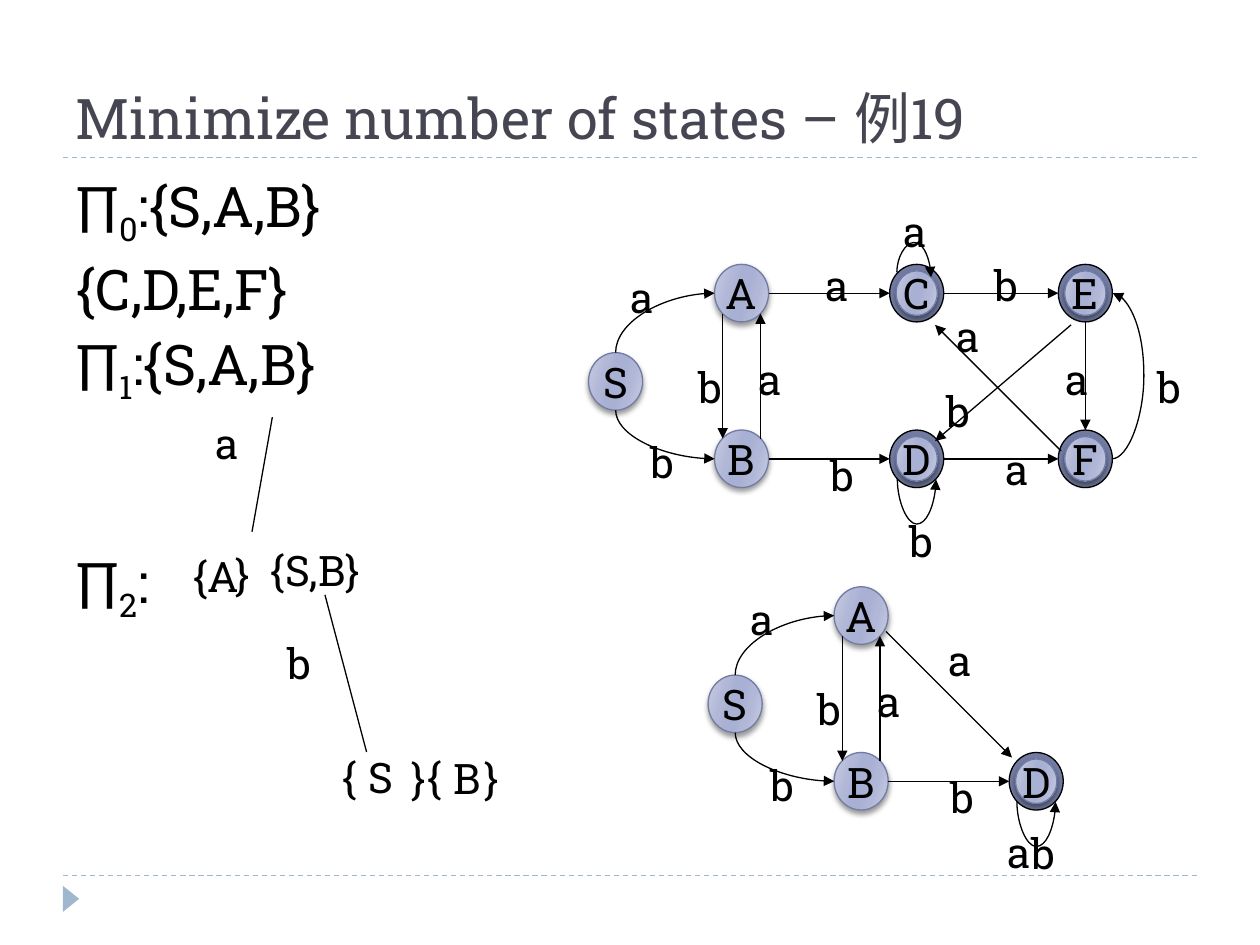
import lxml.etree
import pptx
import pptx.dml.color
import pptx.enum.dml
import pptx.enum.shapes
import pptx.enum.text
import pptx.oxml
import pptx.oxml.ns
import pptx.util

Cm, Pt = pptx.util.Cm, pptx.util.Pt
SHAPE = pptx.enum.shapes.MSO_SHAPE
LINK = pptx.enum.shapes.MSO_CONNECTOR
ALIGN = pptx.enum.text.PP_ALIGN
ANCHOR = pptx.enum.text.MSO_ANCHOR
qn = pptx.oxml.ns.qn

COLORS = {"ink": "000000", "title": "464653", "rule": "9FB8CD", "state": "727CA3"}
STATE_STOPS = [(0, "C9CDE2"), (30, "B1B7D7"), (45, "A8B0D3"),
               (55, "A8B0D3"), (73, "B1B7D7"), (100, "C9CDE2")]
NODE_W, NODE_H = 1.09, 1.16
RX, RY = NODE_W / 2, NODE_H / 2
RING = 0.13


def rgb(name):
    return pptx.dml.color.RGBColor.from_string(COLORS[name])


def sub(parent, tag, **attrs):
    return lxml.etree.SubElement(parent, qn(tag), {k: str(v) for k, v in attrs.items()})


class Deck:
    """Style and current slide; every length is in centimetres."""
    font = "Roboto Slab"
    small, large = 24, 32
    line_width = 0.75

    def __init__(self, width, height):
        self.prs = pptx.Presentation()
        self.prs.slide_width, self.prs.slide_height = Cm(width), Cm(height)
        self.s = self.prs.slides.add_slide(self.prs.slide_layouts[5])

    def run(self, p, text, size, color="ink", baseline=0):
        r = p.add_run()
        r.text = text
        r.font.name, r.font.size = self.font, Pt(size)
        r.font.color.rgb = rgb(color)
        if baseline:
            r.font._element.set("baseline", str(baseline * 1000))

    def title(self, text, x, y, w, h):
        sp = self.s.shapes.title
        sp.left, sp.top, sp.width, sp.height = Cm(x), Cm(y), Cm(w), Cm(h)
        tf = sp.text_frame
        tf.vertical_anchor = ANCHOR.BOTTOM
        p = tf.paragraphs[0]
        p.alignment = ALIGN.LEFT
        self.run(p, text, self.large, "title")

    def partitions(self, rows, x, y, w, h):
        """Rows of (index or None, set text, space before in points)."""
        tf = self.s.shapes.add_textbox(Cm(x), Cm(y), Cm(w), Cm(h)).text_frame
        tf.word_wrap = True
        for i, (index, text, before) in enumerate(rows):
            p = tf.add_paragraph() if i else tf.paragraphs[0]
            p.space_before = Pt(before)
            if index:
                self.run(p, "∏", self.large)
                self.run(p, index, self.large, baseline=-25)
            self.run(p, text, self.large)

    def centred(self, tf, text):
        tf.word_wrap = False
        tf.vertical_anchor = ANCHOR.MIDDLE
        p = tf.paragraphs[0]
        p.alignment = ALIGN.CENTER
        self.run(p, text, self.small)

    def label(self, text, cx, cy, w=1.02, h=1.3):
        sp = self.s.shapes.add_textbox(Cm(cx - w / 2), Cm(cy - h / 2), Cm(w), Cm(h))
        self.centred(sp.text_frame, text)

    def shape(self, kind, cx, cy, w, h, fill, line=None):
        sp = self.s.shapes.add_shape(kind, Cm(cx - w / 2), Cm(cy - h / 2), Cm(w), Cm(h))
        sp.shadow.inherit = False
        sp.fill.solid()
        sp.fill.fore_color.rgb = rgb(fill)
        if line:
            sp.line.color.rgb = rgb(line)
            sp.line.width = Pt(self.line_width)
        else:
            sp.line.fill.background()
        return sp

    def state(self, name, cx, cy, final):
        w, h = NODE_W, NODE_H
        if final:
            self.shape(SHAPE.OVAL, cx, cy, w, h, "state", "ink")
            w, h = w - 2 * RING, h - 2 * RING
        sp = self.shape(SHAPE.OVAL, cx, cy, w, h, "state", "state")
        sp.fill.gradient()
        sp.fill.gradient_angle = 344
        spPr = sp._element.spPr
        stops = spPr.find(".//" + qn("a:gsLst"))
        for gs in list(stops):
            stops.remove(gs)
        for pos, color in STATE_STOPS:
            sub(sub(stops, "a:gs", pos=pos * 1000), "a:srgbClr", val=color)
        shadow = sub(spPr.find(qn("a:effectLst")), "a:outerShdw", blurRad=Pt(3),
                     dist=Pt(2), dir=90 * 60000, rotWithShape=0)
        sub(sub(shadow, "a:srgbClr", val=COLORS["ink"]), "a:alpha", val=40000)
        self.centred(sp.text_frame, name)

    def line(self, start, end, arrow=False, color="ink", dash=False, kind=LINK.STRAIGHT):
        c = self.s.shapes.add_connector(kind, *(Cm(v) for v in (*start, *end)))
        c.line.color.rgb = rgb(color)
        c.line.width = Pt(self.line_width)
        if dash:
            c.line.dash_style = pptx.enum.dml.MSO_LINE.DASH
        if arrow:
            sub(c.line._get_or_add_ln(), "a:tailEnd", type="triangle")
        sub(c._element.spPr, "a:effectLst")
        return c

    def curve(self, start, end, rot, flip=None, bulge=None):
        """Curved arrow: a quarter bend, or a loop that swings out by bulge."""
        c = self.line(start, end, arrow=True, kind=LINK.CURVE)
        (x1, y1), (x2, y2) = start, end
        w, h = abs(x2 - x1), abs(y2 - y1)
        if rot in (90, 270):
            w, h = h, w
        w = max(w, 0.01)
        c.left, c.top = Cm((x1 + x2 - w) / 2), Cm((y1 + y2 - h) / 2)
        c.width, c.height = Cm(w), Cm(h)
        xfrm = c._element.spPr.find(qn("a:xfrm"))
        for name in ("flipH", "flipV"):
            xfrm.set(name, "1" if name == flip else "0")
        xfrm.set("rot", str(rot * 60000))
        geom = c._element.spPr.find(qn("a:prstGeom"))
        if bulge is None:
            geom.set("prst", "curvedConnector2")
        else:
            guides = geom.find(qn("a:avLst"))
            if guides is None:
                guides = sub(geom, "a:avLst")
            sub(guides, "a:gd", name="adj1", fmla=f"val {round(bulge / w * 100000)}")


NODES = {"S": (12.41, 7.69), "A": (14.95, 5.91), "B": (14.95, 9.25), "C": (18.48, 5.91),
         "D": (18.48, 9.25), "E": (21.88, 5.91), "F": (21.88, 9.25)}
FINAL = "CDEF"
COMMON_LABELS = [("a", 12.95, 5.98), ("a", 15.52, 7.63), ("b", 13.35, 9.31),
                 ("b", 14.31, 7.79), ("b", 16.98, 9.56)]


def automaton(deck, names, rows, labels, dx=0, dy=0):
    """States, the arrows both automata share, row arrows and labels."""
    at = {n: (NODES[n][0] + dx, NODES[n][1] + dy) for n in names}

    def edge(name, sx, sy):
        return at[name][0] + sx * RX, at[name][1] + sy * RY

    for name, (cx, cy) in at.items():
        deck.state(name, cx, cy, name in FINAL)
    deck.curve(edge("S", 0, -1), edge("A", -1, 0), 270)
    deck.curve(edge("S", 0, 1), edge("B", -1, 0), 270, "flipH")
    (ax, ay), (bx, by) = at["A"], at["B"]
    deck.line((bx + 0.38, by - 0.41), (ax + 0.38, ay + 0.41), arrow=True)
    deck.line((ax - 0.38, ay + 0.41), (bx - 0.38, by - 0.41), arrow=True)
    cx, cy = at["D"]
    deck.curve((cx - 0.39, cy + 0.41), (cx + 0.39, cy + 0.41), 270, "flipH", 0.91)
    for left, right in rows:
        deck.line(edge(left, 1, 0), edge(right, -1, 0), arrow=True)
    for text, x, y in COMMON_LABELS + labels:
        deck.label(text, x + dx, y + dy)
    return edge


def main():
    deck = Deck(25.4, 19.05)
    for y in (17.65, 3.18):
        deck.line((1.27, y), (24.13, y), color="rule", dash=True)
    deck.shape(SHAPE.ISOSCELES_TRIANGLE, 1.43, 18.12, 0.53, 0.33, "rule").rotation = 90
    deck.title("Minimize number of states – 例19", 1.27, 0.43, 22.86, 2.74)
    deck.partitions([("0", ":{S,A,B}", 0), (None, "{C,D,E,F}", 4),
                     ("1", ":{S,A,B}", 4), ("2", ":", 81)], 1.3, 3.33, 23.04, 14.02)

    edge = automaton(deck, "CDBAEFS", ["AC", "BD", "DF", "CE"], [
        ("b", 23.58, 7.79), ("a", 16.87, 5.73), ("a", 19.51, 6.77), ("a", 21.72, 7.63),
        ("a", 20.5, 9.44), ("b", 19.32, 8.27), ("b", 20.28, 5.73), ("b", 18.58, 10.91),
        ("a", 18.44, 4.65)])
    deck.line(edge("E", 0, 1), edge("F", 0, -1), arrow=True)
    deck.curve(edge("F", 1, 0), edge("E", 1, 0), 0, "flipV", 0.64)
    deck.curve((18.08, 5.49), (18.77, 5.59), 90, "flipV", -0.6)
    deck.line((21.39, 9.09), (18.85, 6.55), arrow=True)
    deck.line((21.59, 6.55), (18.85, 8.89), arrow=True)

    automaton(deck, "DBAS", ["BD"], [("a", 16.94, 6.8), ("b", 18.63, 10.68),
                                     ("a", 18.14, 10.66)], dx=2.41, dy=6.5)
    deck.line((17.86, 12.73), (20.4, 15.27), arrow=True)

    deck.line((5.08, 10.72), (5.49, 8.41))
    deck.line((7.39, 15.16), (6.55, 11.99))
    for text, x, y, w in [("a", 4.57, 8.93, 1.02), ("{S,B}", 6.36, 11.49, 2.46),
                          ("}", 4.81, 11.56, 0.64), ("{A", 4.36, 11.61, 1.7),
                          ("b", 6.03, 13.35, 1.02), ("B", 9.31, 15.67, 0.84),
                          ("{", 8.74, 15.65, 0.76), ("{", 7.04, 15.65, 0.76),
                          ("S", 7.67, 15.65, 1.07), ("}", 9.84, 15.67, 0.64),
                          ("}", 8.37, 15.67, 0.64)]:
        deck.label(text, x, y, w)
    deck.prs.save("out.pptx")


if __name__ == "__main__":
    main()
